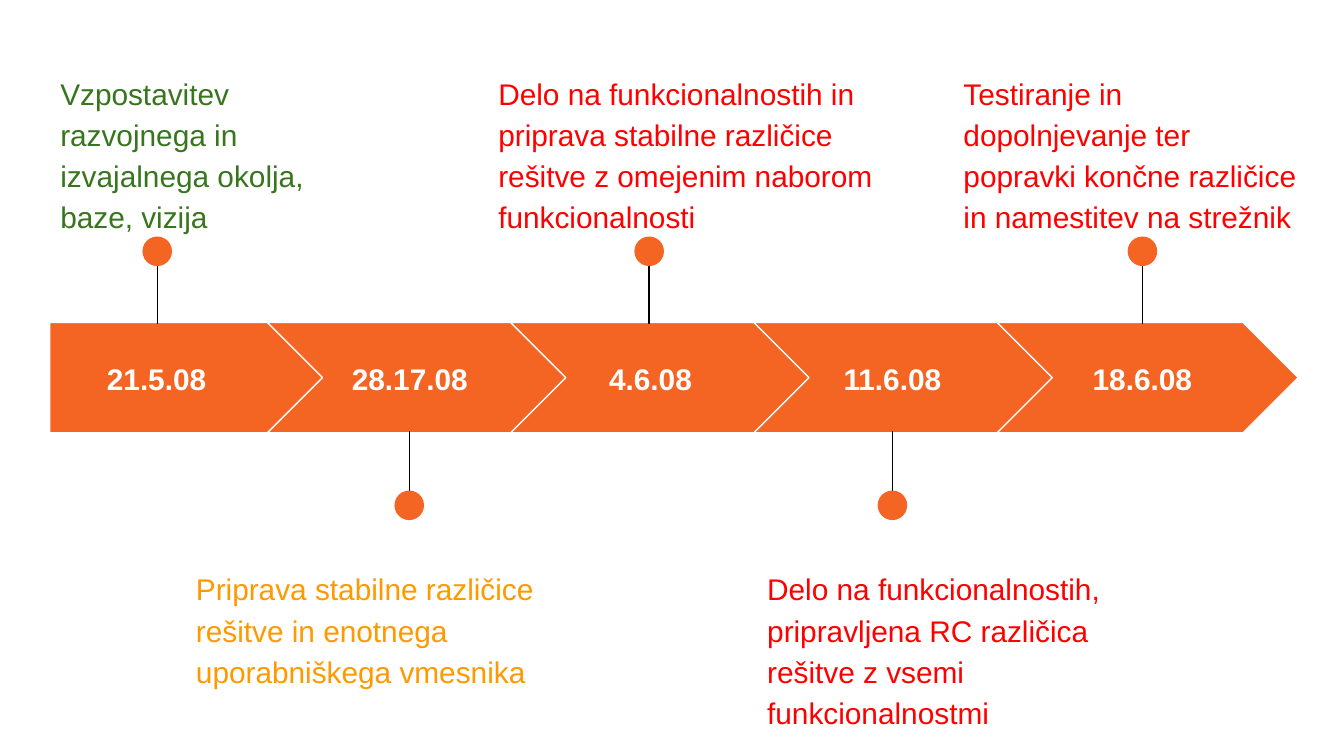
from dataclasses import dataclass

from lxml import etree
from pptx import Presentation
from pptx.dml.color import RGBColor
from pptx.enum.shapes import MSO_CONNECTOR, MSO_SHAPE
from pptx.enum.text import MSO_ANCHOR, PP_ALIGN
from pptx.oxml.ns import qn
from pptx.slide import Slide
from pptx.util import Pt

PENTAGON, CHEVRON, OVAL = MSO_SHAPE.PENTAGON, MSO_SHAPE.CHEVRON, MSO_SHAPE.OVAL
STRAIGHT = MSO_CONNECTOR.STRAIGHT
TOP, MIDDLE = MSO_ANCHOR.TOP, MSO_ANCHOR.MIDDLE
LEFT, CENTER = PP_ALIGN.LEFT, PP_ALIGN.CENTER


@dataclass(frozen=True)
class Theme:
    font: str = "Arial"
    size: float = 16
    line: float = 0.75
    accent: str = "F46524"
    white: str = "FFFFFF"
    black: str = "000000"
    done: str = "38761D"
    doing: str = "FF9900"
    todo: str = "FF0000"


@dataclass(frozen=True)
class Box:
    left: float
    top: float
    width: float
    height: float


@dataclass(frozen=True)
class Step:
    date: str
    date_x: float
    pin_x: float
    note: str
    note_x: float
    note_w: float
    color: str


THEME = Theme()

# Arrow band, in points
BAND_X, BAND_Y, BAND_H = 26.64, 172.8, 59.04
FIRST_W, NEXT_W = 147.6, 161.28
NEXT_X, PITCH = 143.28, 130.32
DATE_Y, DATE_H, DATE_W, FIRST_DATE_W = 184.32, 36.72, 103.68, 114.48
DOT, STEM, PAD = 15.84, 43.92, 7.2
NOTE_H = 71.28

STEPS = [
    Step("21.5.08", 26.64, 84.24,
         "Vzpostavitev razvojnega in izvajalnega okolja, baze, vizija",
         25.2, 186.48, THEME.done),
    Step("28.17.08", 167.76, 219.24,
         "Priprava stabilne različice rešitve in enotnega uporabniškega vmesnika",
         97.92, 218.16, THEME.doing),
    Step("4.6.08", 296.64, 347.76,
         "Delo na funkcionalnostih in priprava stabilne različice rešitve "
         "z omejenim naborom funkcionalnosti",
         259.92, 218.16, THEME.todo),
    Step("11.6.08", 426.24, 478.08,
         "Delo na funkcionalnostih, pripravljena RC različica rešitve "
         "z vsemi funkcionalnostmi",
         403.92, 208.08, THEME.todo),
    Step("18.6.08", 560.16, 612,
         "Testiranje in dopolnjevanje ter popravki končne različice "
         "in namestitev na strežnik",
         509.04, 193.68, THEME.todo),
]


def apply(target: object, values: dict) -> None:
    for name, value in values.items():
        setattr(target, name, value)


def add_text(slide: Slide, box: Box, text: str, color: str, bold: bool,
             anchor: MSO_ANCHOR, para: dict) -> None:
    shape = slide.shapes.add_textbox(
        Pt(box.left), Pt(box.top), Pt(box.width), Pt(box.height))
    frame = shape.text_frame
    apply(frame, {
        "word_wrap": True, "vertical_anchor": anchor,
        "margin_left": Pt(PAD), "margin_right": Pt(PAD),
        "margin_top": Pt(PAD), "margin_bottom": Pt(PAD),
    })
    first = frame.paragraphs[0]
    apply(first, para)
    run = first.add_run()
    run.text = text
    apply(run.font, {"name": THEME.font, "size": Pt(THEME.size), "bold": bold})
    run.font.color.rgb = RGBColor.from_string(color)


def add_solid(shapes: object, kind: MSO_SHAPE, box: Box, edge: str = "") -> None:
    shape = shapes.add_shape(
        kind, Pt(box.left), Pt(box.top), Pt(box.width), Pt(box.height))
    shape.shadow.inherit = False
    shape.fill.solid()
    shape.fill.fore_color.rgb = RGBColor.from_string(THEME.accent)
    if edge:
        shape.line.color.rgb = RGBColor.from_string(edge)
        shape.line.width = Pt(THEME.line)
    else:
        shape.line.fill.background()


def add_pin(slide: Slide, x: float, above: bool) -> None:
    """Stem and dot, grouped, on one side of the band."""
    shapes = slide.shapes.add_group_shape().shapes
    near = BAND_Y + 0.72 if above else BAND_Y + BAND_H - 0.72
    far = near - STEM if above else near + STEM
    stem = shapes.add_connector(STRAIGHT, Pt(x), Pt(far), Pt(x), Pt(near))
    stem.line.color.rgb = RGBColor.from_string(THEME.black)
    stem.line.width = Pt(THEME.line)
    etree.SubElement(stem._element.spPr, qn("a:effectLst"))
    top = 126.72 if above else 262.8
    add_solid(shapes, OVAL, Box(x - DOT / 2, top, DOT, DOT))


def add_step(slide: Slide, index: int, step: Step) -> None:
    first, above = index == 0, index % 2 == 0
    # Arrow and date
    left = BAND_X if first else NEXT_X + (index - 1) * PITCH
    add_solid(slide.shapes, PENTAGON if first else CHEVRON,
              Box(left, BAND_Y, FIRST_W if first else NEXT_W, BAND_H),
              THEME.white)
    date_w = FIRST_DATE_W if first else DATE_W
    add_text(slide, Box(step.date_x, DATE_Y, date_w, DATE_H), step.date,
             THEME.white, True, MIDDLE, {"alignment": CENTER})
    # Pin and note
    add_pin(slide, step.pin_x, above)
    top = 30.24 if above else 295.92
    add_text(slide, Box(step.note_x, top, step.note_w, NOTE_H), step.note,
             step.color, False, TOP,
             {"alignment": LEFT, "line_spacing": 1.15, "space_after": Pt(16)})


def main() -> None:
    deck = Presentation()
    apply(deck, {"slide_width": Pt(720), "slide_height": Pt(405)})
    slide = deck.slides.add_slide(deck.slide_layouts[6])
    for index, step in enumerate(STEPS):
        add_step(slide, index, step)
    deck.save("out.pptx")


if __name__ == "__main__":
    main()
